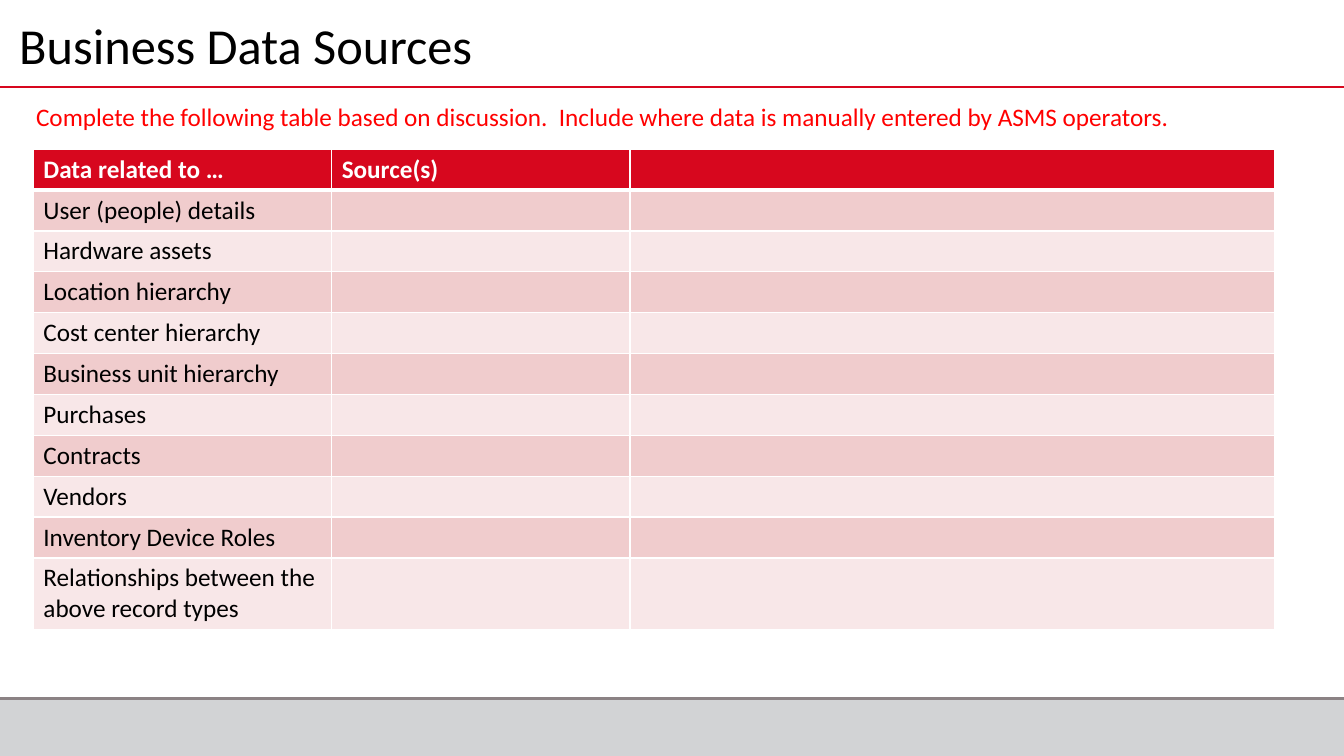
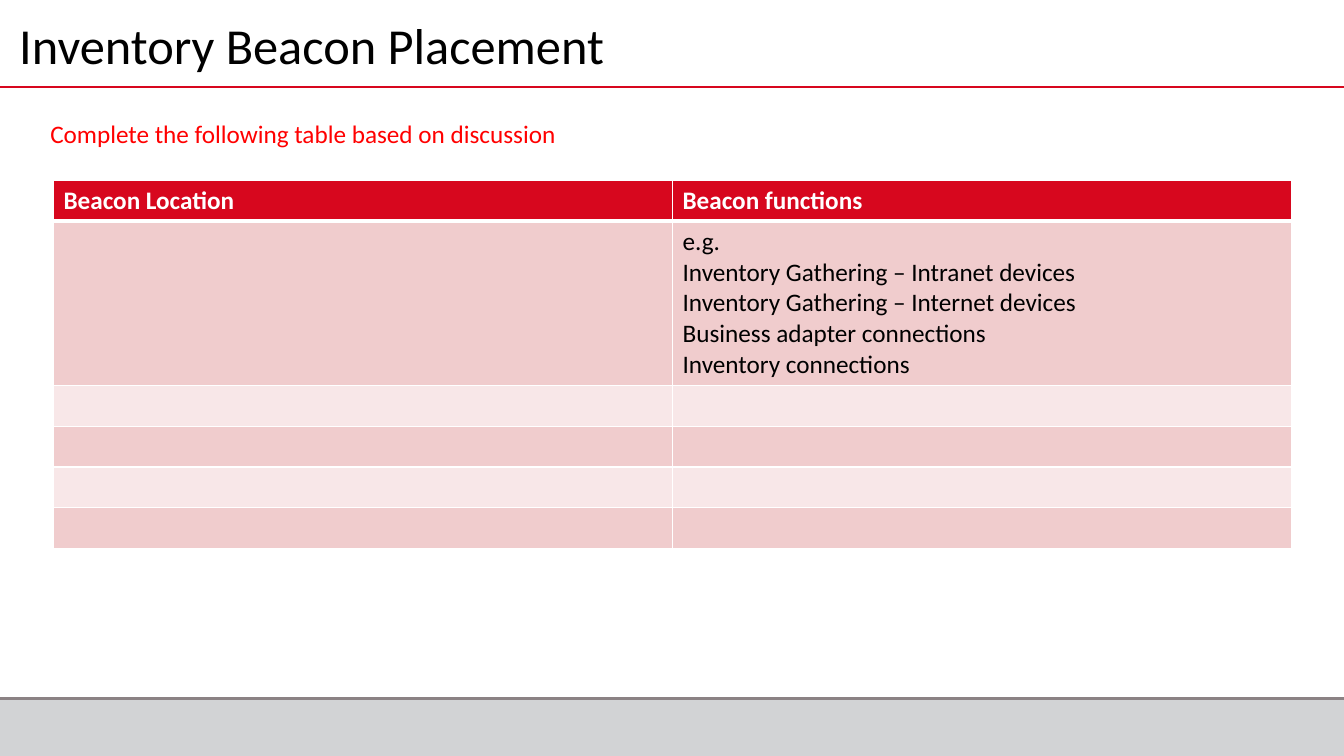
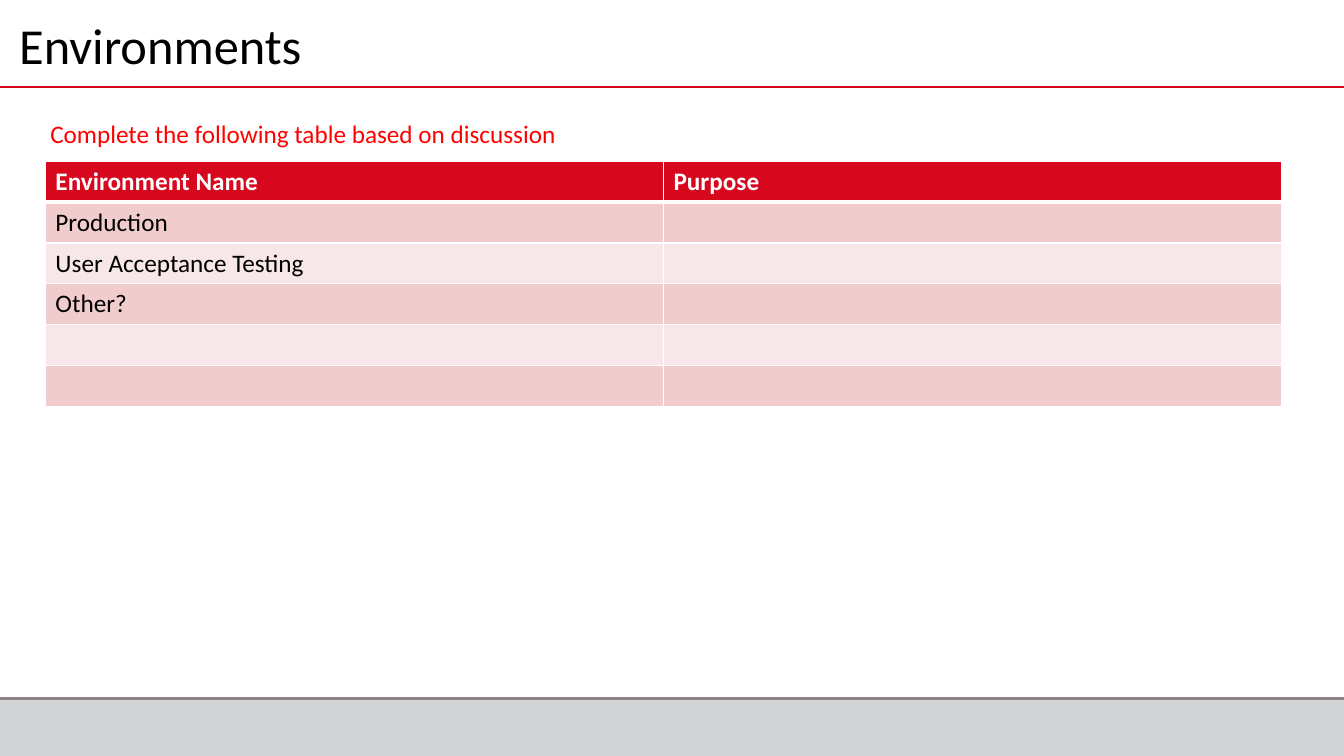
from dataclasses import dataclass
from typing import Any

from lxml import etree
from pptx import Presentation
from pptx import util as u
from pptx.dml.color import RGBColor
from pptx.enum import shapes as es, text as et
from pptx.oxml import ns

WIDE, HIGH = u.Inches(13.33), u.Inches(7.5)


@dataclass(frozen=True)
class Theme:
    face: str = "Calibri"
    head: int = 36
    body: int = 18
    thin: float = 1
    rule: float = 1.5
    thick: float = 3
    red: str = "D7071E"
    note: str = "FF0000"
    rose: str = "F0CCCD"
    pale: str = "F8E7E8"
    band: str = "D2D3D5"
    edge: str = "8B8284"
    ink: str = "000000"
    white: str = "FFFFFF"


@dataclass(frozen=True)
class Box:
    """A place in percent of the slide's width and height."""
    left: float
    top: float
    wide: float
    high: float

    def emu(self) -> tuple[int, ...]:
        return px(self.left), py(self.top), px(self.wide), py(self.high)


@dataclass(frozen=True)
class Page:
    title: str
    note: str
    spot: Box                     # place of the note
    left: float                   # table corner, in percent
    top: float
    cols: tuple[float, ...]       # column widths, in percent
    rows: tuple[tuple[str, ...], ...]


THEME = Theme()
TITLE = Box(0.68, 1.6, 81.7, 9.6)
BAND = Box(0, 92.5, 100, 7.5)
RULES = ((92.4, THEME.edge), (11.47, THEME.red))
ROW, LINE = 5.33, 4.07            # table row, and each further text line
ASK = "Complete the following table based on discussion"
SPOT = Box(3, 14.93, 39.61, 5.33)
TOPICS = ("User (people) details", "Hardware assets", "Location hierarchy",
          "Cost center hierarchy", "Business unit hierarchy", "Purchases",
          "Contracts", "Vendors", "Inventory Device Roles",
          "Relationships between the above record types")
TASKS = ("e.g.\nInventory Gathering – Intranet devices\n"
         "Inventory Gathering – Internet devices\n"
         "Business adapter connections\nInventory connections")

PAGES = (
    Page("Business Data Sources",
         ASK + ".  Include where data is manually entered by ASMS operators.",
         Box(1.95, 12.8, 86.95, 5.33), 2.48, 19.73, (22.2, 22.2, 47.94),
         (("Data related to …", "Source(s)", ""),
          *((name, "", "") for name in TOPICS))),
    Page("Inventory Beacon Placement", ASK, SPOT, 3.98, 23.87, (46.06,) * 2,
         (("Beacon Location", "Beacon functions"), ("", TASKS),
          *(("", ""),) * 4)),
    Page("Environments", ASK, SPOT, 3.38, 21.33, (45.99,) * 2,
         (("Environment Name", "Purpose"),
          *((name, "") for name in ("Production", "User Acceptance Testing",
                                    "Other?", "", "")))),
)


def px(share: float) -> int:
    return round(WIDE * share / 100)


def py(share: float) -> int:
    return round(HIGH * share / 100)


def rgb(code: str) -> RGBColor:
    return RGBColor.from_string(code)


def apply(item: Any, form: dict[str, Any]) -> None:
    for name, value in form.items():
        setattr(item, name, value)


def write(frame: Any, words: str, size: int, tint: str,
          bold: bool = False) -> None:
    frame.text = words
    for para in frame.paragraphs:
        for run in para.runs:
            apply(run.font, {"name": THEME.face, "size": u.Pt(size),
                             "bold": bold})
            run.font.color.rgb = rgb(tint)


def border(cell: Any, top: float, base: float) -> None:
    props = cell._tc.get_or_add_tcPr()
    sides = {"lnL": THEME.thin, "lnR": THEME.thin, "lnT": top, "lnB": base}
    for side, width in sides.items():
        line = etree.SubElement(props, ns.qn("a:" + side), w=str(u.Pt(width)))
        fill = etree.SubElement(line, ns.qn("a:solidFill"))
        etree.SubElement(fill, ns.qn("a:srgbClr"), val=THEME.white)


def add_frame(slide: Any, layout: Any) -> None:
    """Draw the footer band and rules, and hand them to the layout."""
    band = slide.shapes.add_shape(es.MSO_SHAPE.RECTANGLE, *BAND.emu())
    band.shadow.inherit = False
    band.fill.solid()
    band.fill.fore_color.rgb = band.line.color.rgb = rgb(THEME.band)
    band.line.width = u.Pt(THEME.thin)
    parts = [band]
    for share, tint in RULES:
        rule = slide.shapes.add_connector(es.MSO_CONNECTOR.STRAIGHT,
                                          0, py(share), WIDE, py(share))
        rule.line.color.rgb = rgb(tint)
        rule.line.width = u.Pt(THEME.rule)
        etree.SubElement(rule._element.spPr, ns.qn("a:effectLst"))
        parts.append(rule)
    for part in parts:
        layout.shapes.element.append(part.element)


def add_title(slide: Any, words: str) -> None:
    title = slide.shapes.title
    apply(title, dict(zip(("left", "top", "width", "height"), TITLE.emu())))
    write(title.text_frame, words, THEME.head, THEME.ink)
    title.text_frame.vertical_anchor = et.MSO_ANCHOR.MIDDLE
    apply(title.text_frame.paragraphs[0],
          {"alignment": et.PP_ALIGN.LEFT, "line_spacing": 0.9})


def add_grid(slide: Any, page: Page) -> None:
    # Rows grow with the number of text lines
    highs = [ROW + LINE * max(word.count("\n") for word in row)
             for row in page.rows]
    place = Box(page.left, page.top, sum(page.cols), sum(highs))
    grid = slide.shapes.add_table(len(highs), len(page.cols),
                                  *place.emu()).table
    for col, wide in zip(grid.columns, page.cols):
        col.width = px(wide)
    for i, (row, high) in enumerate(zip(page.rows, highs)):
        grid.rows[i].height = py(high)
        head = i == 0
        fill = THEME.red if head else THEME.rose if i % 2 else THEME.pale
        for j, words in enumerate(row):
            cell = grid.cell(i, j)
            border(cell, THEME.thick if i == 1 else THEME.thin,
                   THEME.thick if head else THEME.thin)
            cell.fill.solid()
            cell.fill.fore_color.rgb = rgb(fill)
            if words:
                write(cell.text_frame, words, THEME.body,
                      THEME.white if head else THEME.ink, head)


def add_note(slide: Any, page: Page) -> None:
    frame = slide.shapes.add_textbox(*page.spot.emu()).text_frame
    apply(frame, {"word_wrap": False,
                  "auto_size": et.MSO_AUTO_SIZE.SHAPE_TO_FIT_TEXT})
    write(frame, page.note, THEME.body, THEME.note)


def main() -> None:
    deck = Presentation()
    apply(deck, {"slide_width": WIDE, "slide_height": HIGH})
    layout = deck.slide_layouts[5]
    for i, page in enumerate(PAGES):
        slide = deck.slides.add_slide(layout)
        if i == 0:
            add_frame(slide, layout)
        add_title(slide, page.title)
        add_grid(slide, page)
        add_note(slide, page)
    deck.save("out.pptx")


if __name__ == "__main__":
    main()
